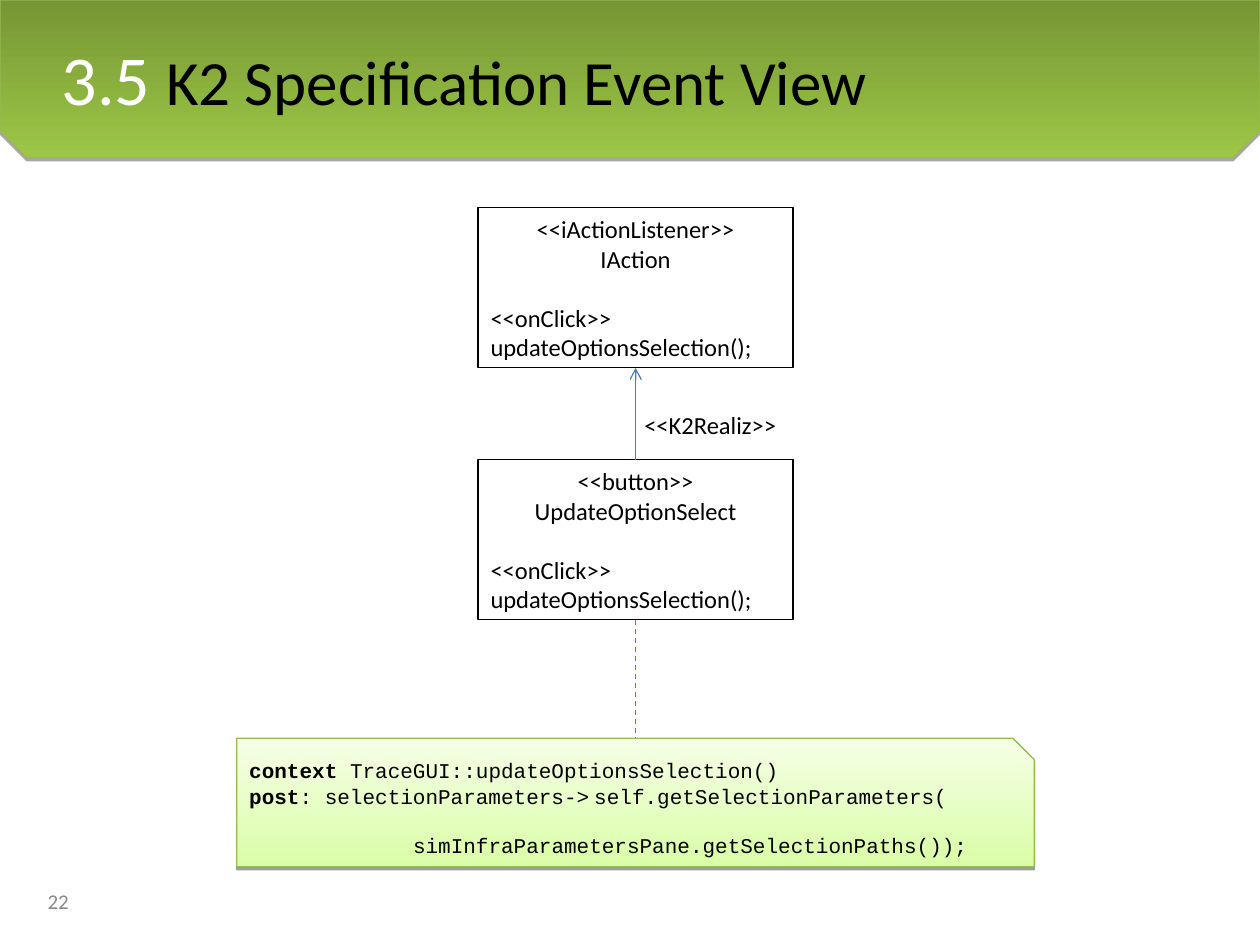
import pptx
import pptx.dml.color
import pptx.enum.dml
import pptx.enum.shapes
import pptx.enum.text
import pptx.oxml
import pptx.oxml.ns
import pptx.util

SLIDE_WIDTH, SLIDE_HEIGHT = 10, 7.5
SHAPES = pptx.enum.shapes.MSO_SHAPE
ALIGN = pptx.enum.text.PP_ALIGN
ANCHOR = pptx.enum.text.MSO_ANCHOR
BLACK, WHITE, GREY = "000000", "FFFFFF", "898989"
GREEN_LINE, BLUE_LINE = "98B954", "4A7EBB"


def inches(*lengths):
    return [pptx.util.Inches(length) for length in lengths]


def paint(color_format, color):
    color_format.rgb = pptx.dml.color.RGBColor.from_string(color)


def draw_line(line, color):
    paint(line.color, color)
    line.width = pptx.util.Pt(0.75)


def add_effects(shape, content=""):
    namespace = pptx.oxml.ns.nsdecls("a")
    effects = pptx.oxml.parse_xml(f"<a:effectLst {namespace}>{content}</a:effectLst>")
    shape._element.spPr.append(effects)


def add_shadow(shape, distance, opacity):
    add_effects(
        shape,
        f'<a:outerShdw dist="{pptx.util.Pt(distance)}" dir="5400000" rotWithShape="0">'
        f'<a:srgbClr val="000000"><a:alpha val="{opacity * 1000}"/></a:srgbClr>'
        "</a:outerShdw>",
    )


def fill_gradient(shape, top_color, bottom_color):
    shape.fill.gradient()
    shape.fill.gradient_angle = 270
    for stop, color in zip(shape.fill.gradient_stops, (top_color, bottom_color)):
        paint(stop.color, color)


def add_run(paragraph, text, size, color=BLACK, font="Calibri", bold=False):
    run = paragraph.add_run()
    run.text = text
    run.font.size = pptx.util.Pt(size)
    run.font.name = font
    run.font.bold = bold
    paint(run.font.color, color)


def next_paragraph(frame, first, alignment=ALIGN.LEFT):
    paragraph = frame.paragraphs[0] if first else frame.add_paragraph()
    paragraph.alignment = alignment
    return paragraph


def add_banner(slide, box):
    left, top, width, height = box
    banner = slide.shapes.add_shape(SHAPES.SNIP_2_SAME_RECTANGLE, *inches(*box))
    banner.adjustments[0] = 0
    banner.adjustments[1] = 0.17
    fill_gradient(banner, "769535", "9CC746")
    draw_line(banner.line, GREEN_LINE)
    add_shadow(banner, 1.8, 35)

    title = slide.shapes.title
    slide.shapes._spTree.append(title._element)
    title.left, title.top, title.width, title.height = inches(
        left + 0.39, top + 0.23, width - 0.39, height
    )
    frame = title.text_frame
    frame.auto_size = pptx.enum.text.MSO_AUTO_SIZE.NONE
    frame.vertical_anchor = ANCHOR.TOP
    paragraph = next_paragraph(frame, True)
    add_run(paragraph, "3.5 ", 40, WHITE)
    add_run(paragraph, "K2 Specification Event View", 36)


def add_label(slide, box, text, size, color, wrap):
    label = slide.shapes.add_textbox(*inches(*box))
    label.text_frame.word_wrap = wrap
    label.text_frame.vertical_anchor = ANCHOR.MIDDLE
    add_run(next_paragraph(label.text_frame, True), text, size, color)


def add_class_box(slide, box, stereotype, name, operation):
    shape = slide.shapes.add_shape(SHAPES.RECTANGLE, *inches(*box))
    shape.shadow.inherit = False
    shape.fill.background()
    draw_line(shape.line, BLACK)
    frame = shape.text_frame
    frame.word_wrap = True
    frame.vertical_anchor = ANCHOR.MIDDLE
    for index, text in enumerate((stereotype, name)):
        add_run(next_paragraph(frame, index == 0, ALIGN.CENTER), text, 14)
    paragraph = next_paragraph(frame, False)
    paragraph.space_before = pptx.util.Pt(17)
    add_run(paragraph, operation, 14)
    return shape


def add_constraint_note(slide, box):
    note = slide.shapes.add_shape(SHAPES.SNIP_1_RECTANGLE, *inches(*box))
    fill_gradient(note, "F5FFE6", "DAFDA7")
    draw_line(note.line, GREEN_LINE)
    add_shadow(note, 1.6, 38)
    frame = note.text_frame
    frame.word_wrap = True
    frame.vertical_anchor = ANCHOR.MIDDLE
    code, spacer = "Courier New", "Calibri"
    lines = [
        [("context", code, True), (" TraceGUI::updateOptionsSelection()", code, False)],
        [
            ("post", code, True),
            (": selectionParameters->", code, False),
            (" ", spacer, False),
            ("self.getSelectionParameters(", code, False),
        ],
        [("simInfraParametersPane.getSelectionPaths());", code, False)],
    ]
    for index, line in enumerate(lines):
        paragraph = next_paragraph(frame, index == 0)
        for text, font, bold in line:
            add_run(paragraph, text, 12, BLACK, font, bold)
    paragraph._p.get_or_add_pPr().set("marL", str(pptx.util.Inches(1.3)))
    paragraph.space_before = pptx.util.Pt(14)


def add_link(slide, start, end):
    connector = slide.shapes.add_connector(
        pptx.enum.shapes.MSO_CONNECTOR.STRAIGHT, *inches(*start, *end)
    )
    draw_line(connector.line, BLUE_LINE)
    return connector


def add_class_diagram(slide, box):
    left, top, width, height = box
    center = left + width / 2
    class_width, class_height, class_step = 2.5, 1.27, 2
    class_left = center - class_width / 2
    button_top = top + class_step
    note_height = 1.02
    note_top = top + height - note_height
    operation = "<<onClick>> updateOptionsSelection();"

    button = add_class_box(
        slide, (class_left, button_top, class_width, class_height),
        "<<button>>", "UpdateOptionSelect", operation,
    )
    add_constraint_note(slide, (left, note_top, width, note_height))
    anchor = add_link(slide, (center, button_top + class_height), (center, note_top))
    anchor.begin_connect(button, 2)
    anchor.line.dash_style = pptx.enum.dml.MSO_LINE.DASH
    add_effects(anchor)

    action = add_class_box(
        slide, (class_left, top, class_width, class_height),
        "<<iActionListener>>", "IAction", operation,
    )
    realization = add_link(slide, (center, button_top), (center, top + class_height))
    realization.begin_connect(button, 0)
    realization.end_connect(action, 2)
    arrowhead = f'<a:tailEnd {pptx.oxml.ns.nsdecls("a")} type="arrow"/>'
    realization.line._get_or_add_ln().append(pptx.oxml.parse_xml(arrowhead))
    add_effects(realization)
    add_label(
        slide, (center - 0.03, button_top - 0.45, 1.25, 0.34),
        "<<K2Realiz>>", 14, BLACK, False,
    )


def main():
    presentation = pptx.Presentation()
    presentation.slide_width, presentation.slide_height = inches(SLIDE_WIDTH, SLIDE_HEIGHT)
    slide = presentation.slides.add_slide(presentation.slide_layouts[5])
    add_banner(slide, (0, 0, SLIDE_WIDTH, SLIDE_HEIGHT / 6))
    add_label(slide, (0.28, 6.95, 2.33, 0.4), "22", 12, GREY, True)
    add_class_diagram(slide, (1.88, 1.65, 6.33, 5.23))
    presentation.save("out.pptx")


if __name__ == "__main__":
    main()
